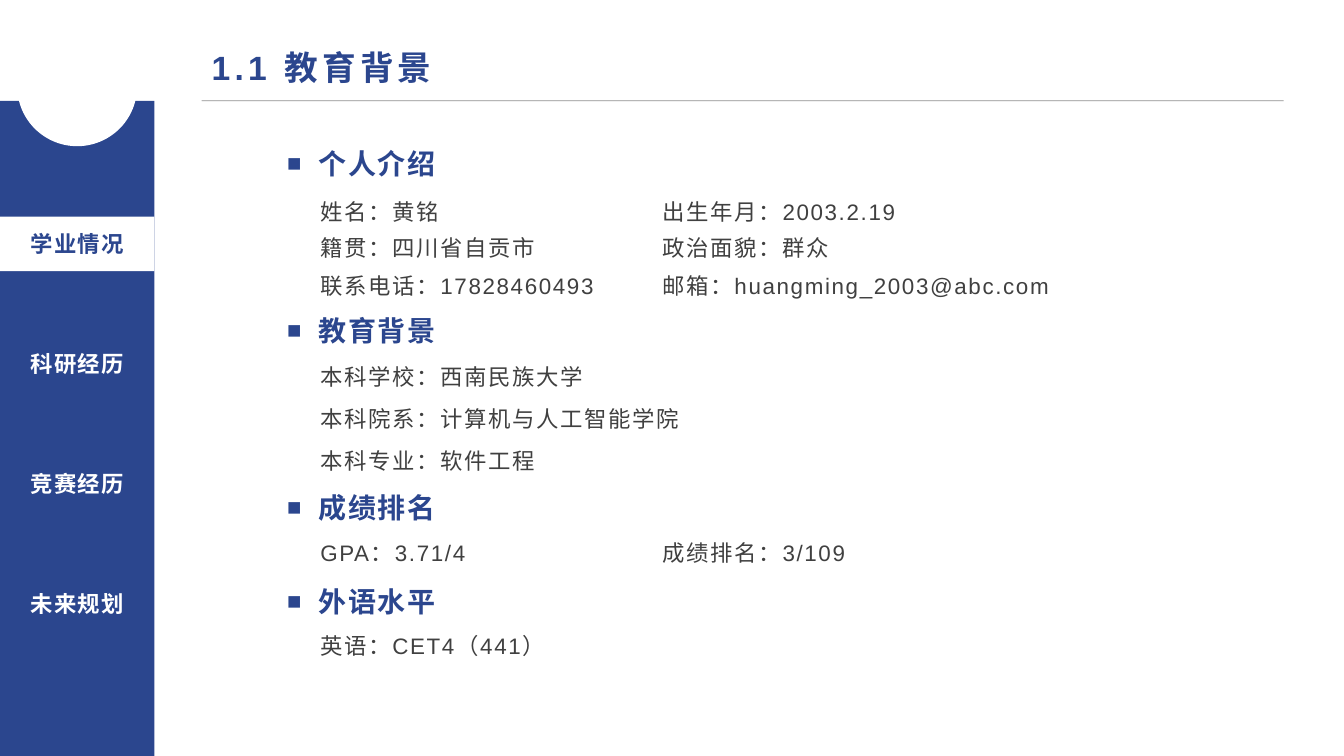
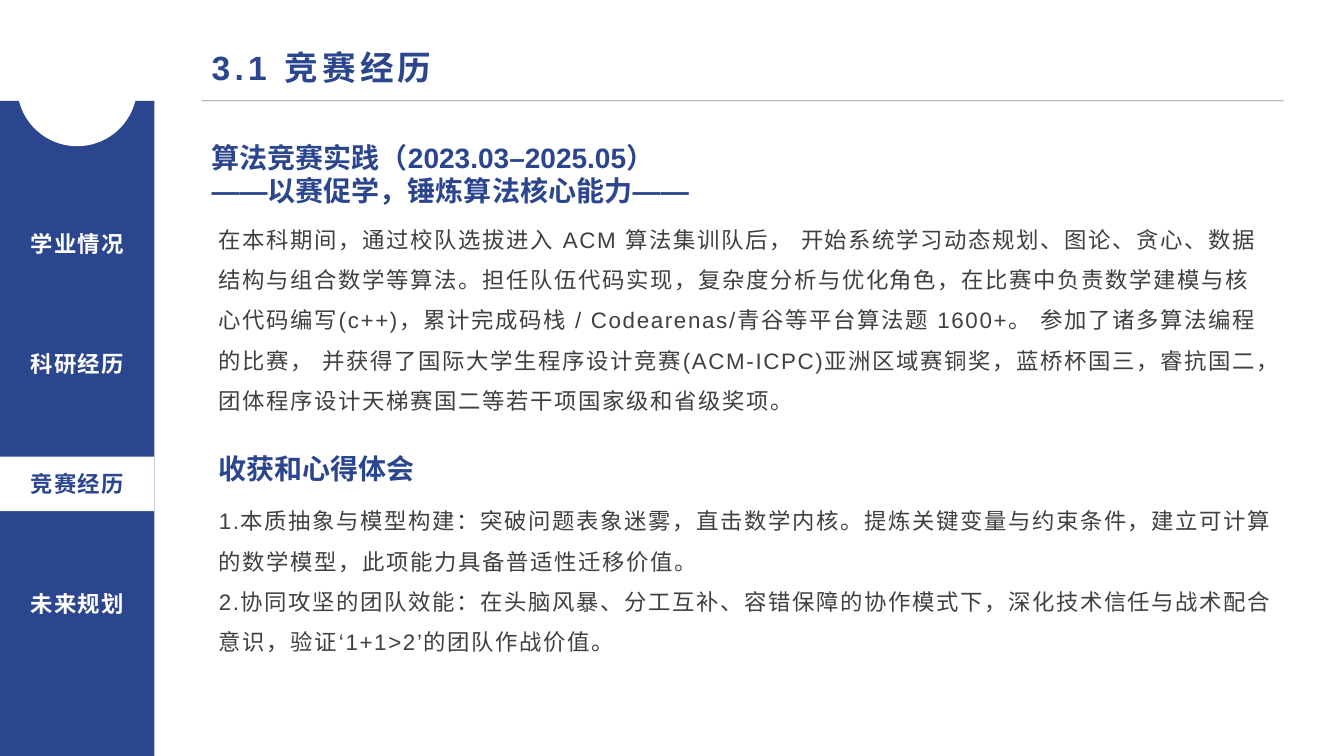
from dataclasses import dataclass

from lxml import etree
from pptx import Presentation
from pptx import util as u
from pptx.dml.color import RGBColor
from pptx.enum import shapes, text
from pptx.oxml import ns

SECTIONS = ["学业情况", "科研经历", "竞赛经历", "未来规划"]


@dataclass(frozen=True)
class Theme:
    blue: str = "2B468E"
    white: str = "FFFFFF"
    ink: str = "404040"
    rule: str = "0D0D0D"
    rule_opacity: int = 46
    latin: str = "Arial"
    nav_font: str = "Noto Sans CJK SC"
    title_size: int = 24
    heading_size: int = 20
    body_size: int = 16


THEME = Theme()
TITLE = dict(size=THEME.title_size, color=THEME.blue, bold=True, tracking=3)
HEADING = dict(size=THEME.heading_size, color=THEME.blue, bold=True)
SECTION = dict(HEADING, tracking=1.2, bullet="■")
BODY = dict(size=THEME.body_size, color=THEME.ink, tracking=1.2)
NAV = dict(size=THEME.body_size, bold=True, tracking=1.1, font=THEME.nav_font,
           align=text.PP_ALIGN.CENTER, anchor=text.MSO_ANCHOR.MIDDLE)


def add_child(parent, tag, **attributes):
    return etree.SubElement(parent, ns.qn(tag), attributes)


def set_bullet(paragraph, bullet):
    properties = paragraph._p.get_or_add_pPr()
    indent = u.Inches(0.31) if bullet else 0
    properties.set("marL", str(indent))
    properties.set("indent", str(-indent))
    if bullet:
        add_child(properties, "a:buSzPct", val="85000")
        add_child(properties, "a:buFont", typeface=THEME.latin)
        add_child(properties, "a:buChar", char=bullet)
    else:
        add_child(properties, "a:buNone")


def write(shape, lines, *, size, color, bold=False, tracking=0, font=THEME.latin,
          align=text.PP_ALIGN.LEFT, anchor=text.MSO_ANCHOR.TOP, bullet=None,
          line_spacing=1.0, gap=0):
    """Fill a shape with one paragraph per line, all in the same format."""
    frame = shape.text_frame
    frame.word_wrap = True
    frame.auto_size = text.MSO_AUTO_SIZE.NONE
    frame.vertical_anchor = anchor
    for index, line in enumerate(lines):
        paragraph = frame.add_paragraph() if index else frame.paragraphs[0]
        set_bullet(paragraph, bullet)
        paragraph.alignment = align
        paragraph.line_spacing = line_spacing
        paragraph.space_before = u.Pt(gap if index else 0)
        run = paragraph.add_run()
        run.text = line
        run.font.size = u.Pt(size)
        run.font.bold = bold
        run.font.color.rgb = RGBColor.from_string(color)
        run.font.name = font
        properties = run._r.get_or_add_rPr()
        properties.set("spc", str(round(tracking * 100)))
        add_child(properties, "a:ea", typeface=font)


class Deck:
    """The presentation and its current slide; places are percent of the slide."""

    def __init__(self):
        self.presentation = Presentation()
        self.presentation.slide_width = u.Inches(13.33)
        self.presentation.slide_height = u.Inches(7.5)
        self.slide = None

    def box(self, left, top, width, height):
        across = self.presentation.slide_width / 100
        down = self.presentation.slide_height / 100
        return [round(length) for length in
                (left * across, top * down, width * across, height * down)]

    def start(self, title, section):
        layout = self.presentation.slide_layouts[1]
        self.slide = self.presentation.slides.add_slide(layout)
        self.rule(15, 13.33, 80.5)
        self.placeholder(0, (15, 5.6, 88, 6.67), [title], **TITLE)
        self.sidebar(section)

    def rule(self, left, top, width):
        x, y, length, _ = self.box(left, top, width, 0)
        line = self.slide.shapes.add_connector(
            shapes.MSO_CONNECTOR.STRAIGHT, x, y, x + length, y)
        line.line.width = u.Pt(0.5)
        line.line.color.rgb = RGBColor.from_string(THEME.rule)
        color = line._element.find(".//" + ns.qn("a:srgbClr"))
        add_child(color, "a:alpha", val=str(THEME.rule_opacity * 1000))
        add_child(line._element.spPr, "a:effectLst")

    def block(self, kind, place, fill):
        shape = self.slide.shapes.add_shape(kind, *self.box(*place))
        shape.shadow.inherit = False
        shape.fill.solid()
        shape.fill.fore_color.rgb = RGBColor.from_string(fill)
        shape.line.fill.background()
        return shape

    def sidebar(self, current):
        width, pitch = 11.5, 15.87
        rectangle = shapes.MSO_SHAPE.RECTANGLE
        self.block(rectangle, (0, 13.33, width, 86.67), THEME.blue)
        self.block(shapes.MSO_SHAPE.OVAL, (1.28, 3.47, 8.93, 15.87), THEME.white)
        for index, section in enumerate(SECTIONS):
            place = (0, 28.67 + index * pitch, width, 7.2)
            if section == current:
                tab = self.block(rectangle, place, THEME.white)
                write(tab, [section], color=THEME.blue, **NAV)
            else:
                self.label(place, [section], color=THEME.white, **NAV)

    def label(self, place, lines, **style):
        write(self.slide.shapes.add_textbox(*self.box(*place)), lines, **style)

    def placeholder(self, index, place, lines, **style):
        holder = self.slide.placeholders[index]
        holder.left, holder.top, holder.width, holder.height = self.box(*place)
        write(holder, lines, **style)

    def section(self, top, heading):
        self.label((20.63, top, 49.2, 5.87), [heading], **SECTION)

    def fields(self, top, *entries):
        """Set one row of fields on the two text columns."""
        for (left, width), entry in zip(((23.1, 24), (48.55, 36)), entries):
            self.label((left, top, width, 4.93), [entry], **BODY)


def add_background(deck):
    deck.start("1.1 教育背景", "学业情况")
    deck.section(18.67, "个人介绍")
    deck.fields(25.6, "姓名：黄铭", "出生年月：2003.2.19")
    deck.fields(30.27, "籍贯：四川省自贡市", "政治面貌：群众")
    deck.fields(35.33, "联系电话：17828460493", "邮箱：huangming_2003@abc.com")
    deck.section(40.8, "教育背景")
    deck.placeholder(1, (23.1, 47.33, 58.4, 16.4), [
        "本科学校：西南民族大学",
        "本科院系：计算机与人工智能学院",
        "本科专业：软件工程",
    ], gap=11, **BODY)
    deck.section(64.27, "成绩排名")
    deck.fields(70.6, "GPA：3.71/4", "成绩排名：3/109")
    deck.section(76.67, "外语水平")
    deck.fields(82.93, "英语：CET4（441）")


def add_competitions(deck):
    deck.start("3.1 竞赛经历", "竞赛经历")
    deck.label((15, 17.87, 65.3, 10.27), [
        "算法竞赛实践（2023.03–2025.05）",
        "——以赛促学，锤炼算法核心能力——",
    ], **HEADING)
    deck.label((15.53, 27.47, 80, 30.4), [
        "在本科期间，通过校队选拔进入 ACM 算法集训队后， 开始系统学习动态规划、"
        "图论、贪心、数据结构与组合数学等算法。担任队伍代码实现，复杂度分析与优化角色，"
        "在比赛中负责数学建模与核心代码编写(c++)，累计完成码栈 / Codearenas/青谷"
        "等平台算法题 1600+。 参加了诸多算法编程的比赛， 并获得了国际大学生程序设计竞赛"
        "(ACM-ICPC)亚洲区域赛铜奖，蓝桥杯国三，睿抗国二，团体程序设计天梯赛国二"
        "等若干项国家级和省级奖项。",
    ], line_spacing=1.5, **BODY)
    deck.label((15.53, 59.07, 33.3, 5.87), ["收获和心得体会"], **HEADING)
    deck.placeholder(1, (15.53, 64.67, 81.3, 26), [
        "1.本质抽象与模型构建：突破问题表象迷雾，直击数学内核。提炼关键变量与约束条件，"
        "建立可计算的数学模型，此项能力具备普适性迁移价值。",
        "2.协同攻坚的团队效能：在头脑风暴、分工互补、容错保障的协作模式下，"
        "深化技术信任与战术配合意识，验证‘1+1>2’的团队作战价值。",
    ], line_spacing=1.5, **BODY)


def main():
    deck = Deck()
    add_background(deck)
    add_competitions(deck)
    deck.presentation.save("out.pptx")


if __name__ == "__main__":
    main()
